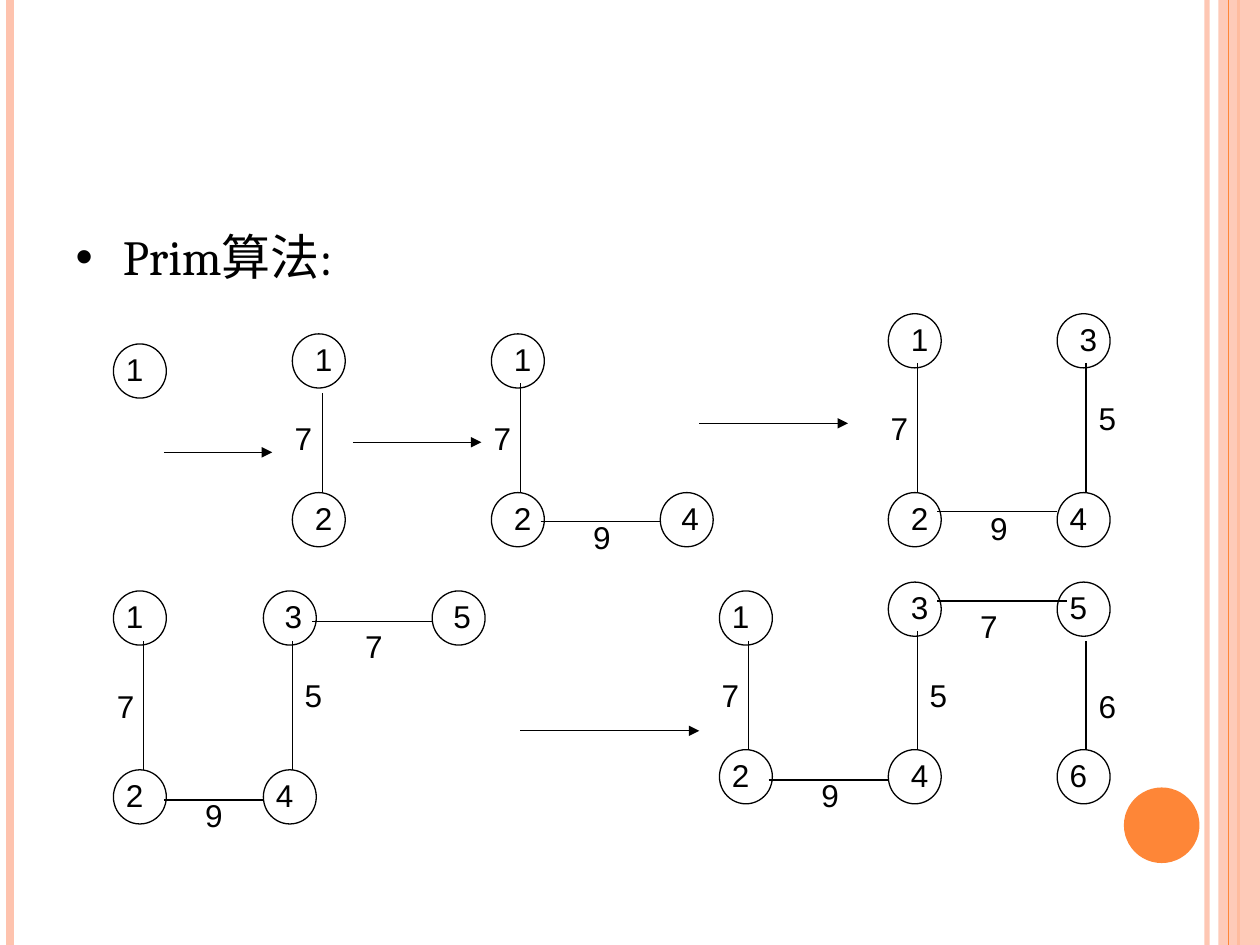
from lxml.etree import SubElement
from pptx import Presentation
from pptx.dml.color import RGBColor
from pptx.enum.shapes import MSO_CONNECTOR, MSO_SHAPE
from pptx.enum.text import MSO_ANCHOR, MSO_AUTO_SIZE, PP_ALIGN
from pptx.oxml.ns import qn
from pptx.util import Pt

PX = 9144
BLACK = RGBColor(0x00, 0x00, 0x00)
PEACH = RGBColor(0xFE, 0xC3, 0xAE)
ORANGE = RGBColor(0xFE, 0x86, 0x37)

HEAD = {"size": Pt(28), "name": "Cambria"}
DIGIT = {"size": Pt(18), "name": "Arial"}
LABEL = {"word_wrap": True, "auto_size": MSO_AUTO_SIZE.SHAPE_TO_FIT_TEXT,
         "vertical_anchor": MSO_ANCHOR.TOP}
BODY = {"word_wrap": True, "auto_size": MSO_AUTO_SIZE.NONE,
        "vertical_anchor": MSO_ANCHOR.TOP}
PLAIN = {"space_before": Pt(0), "alignment": PP_ALIGN.LEFT}

# Nodes: digit, x, y, digit shift, digit width. Edges: x1, y1, x2, y2.
# Weights: digit, x, y, width.
STEPS = [
    ((90, 273), [("1", 0, 0, 0, 47)], [], []),
    ((232, 265),
     [("1", 0, 0, 8, 32), ("2", 0, 126, 8, 32)],
     [(24, 47, 24, 126)],
     [("7", -8, 63, 32)]),
    ((390, 265),
     [("1", 0, 0, 8, 32), ("2", 0, 126, 8, 32), ("4", 134, 126, 7, 32)],
     [(23, 39, 23, 126), (39, 149, 134, 149)],
     [("7", -8, 63, 31), ("9", 71, 141, 47)]),
    ((705, 249),
     [("1", 0, 0, 8, 31), ("2", 0, 142, 8, 31), ("4", 134, 142, 0, 47),
      ("3", 134, 0, 8, 31)],
     [(23, 39, 23, 142), (39, 157, 134, 157), (157, 39, 157, 142)],
     [("7", -8, 71, 55), ("9", 71, 150, 55), ("5", 157, 63, 31)]),
    ((90, 469),
     [("1", 0, 0, 0, 31), ("2", 0, 142, 0, 24), ("3", 119, 0, 7, 32),
      ("4", 119, 142, 0, 31), ("5", 253, 0, 7, 24)],
     [(24, 40, 24, 142), (40, 166, 119, 166), (142, 40, 142, 142),
      (158, 24, 253, 24)],
     [("7", -7, 71, 39), ("9", 63, 158, 55), ("5", 142, 63, 31),
      ("7", 190, 24, 39)]),
    ((571, 462),
     [("1", 0, 7, 0, 39), ("2", 0, 133, 0, 63), ("3", 134, 0, 8, 55),
      ("4", 134, 133, 8, 31), ("6", 268, 133, 0, 55), ("5", 268, 0, 0, 47)],
     [(23, 47, 23, 133), (157, 39, 157, 133), (39, 157, 134, 157),
      (173, 15, 276, 15), (291, 47, 291, 133)],
     [("7", -8, 70, 47), ("9", 71, 149, 47), ("5", 157, 70, 39),
      ("7", 197, 15, 47), ("6", 291, 78, 39)]),
]
ARROWS = [(130, 359, 216), (280, 351, 382), (555, 336, 673), (413, 580, 555)]


def emu(*sizes):
    return [size * PX for size in sizes]


def style(thing, values):
    for name, value in values.items():
        setattr(thing, name, value)


def fade(shape, part):
    for color in shape._element.spPr.iter(qn("a:srgbClr")):
        SubElement(color, qn("a:alpha"), val=str(part * 1000))


def add_line(slide, ends, color=BLACK, width=0.75):
    line = slide.shapes.add_connector(MSO_CONNECTOR.STRAIGHT, *emu(*ends))
    line.line.color.rgb = color
    line.line.width = Pt(width)
    SubElement(line._element.spPr, qn("a:effectLst"))
    return line


def add_solid(slide, kind, box, color):
    shape = slide.shapes.add_shape(kind, *emu(*box))
    shape.shadow.inherit = False
    shape.fill.solid()
    shape.fill.fore_color.rgb = color
    shape.line.fill.background()
    return shape


def add_ring(slide, box):
    ring = slide.shapes.add_shape(MSO_SHAPE.OVAL, *emu(*box))
    ring.shadow.inherit = False
    ring.fill.background()
    ring.line.color.rgb = BLACK
    ring.line.width = Pt(0.75)


def write(frame, text, values, font):
    style(frame, values)
    frame.text = text
    line = frame.paragraphs[0]
    style(line, PLAIN)
    style(line.runs[0].font, font)
    line.runs[0].font.color.rgb = BLACK


def add_digit(slide, text, x, y, width):
    box = slide.shapes.add_textbox(*emu(x, y, width, 40))
    write(box.text_frame, text, LABEL, DIGIT)


def draw_frame(slide, width, height):
    fade(add_line(slide, (width - 42, 0, width - 42, height), PEACH, 3), 93)
    add_line(slide, (8, 0, 8, height), PEACH, 4.5)
    add_line(slide, (width - 17, 0, width - 17, height), ORANGE, 1.5)
    band = (width - 33, 0, 33, height)
    fade(add_solid(slide, MSO_SHAPE.RECTANGLE, band, PEACH), 87)
    add_line(slide, (width - 25, 0, width - 25, height), ORANGE)
    dot = (width - 108, height - 125, 60, 60)
    add_solid(slide, MSO_SHAPE.OVAL, dot, ORANGE)


def draw_body(body, box):
    style(body, dict(zip(("left", "top", "width", "height"), emu(*box))))
    frame = body.text_frame
    props = frame.paragraphs[0]._p.get_or_add_pPr()
    style_attrs = {"marL": 30 * PX, "indent": -30 * PX}
    for name, value in style_attrs.items():
        props.set(name, str(value))
    SubElement(props, qn("a:buNone"))
    write(frame, "Prim算法:", BODY, HEAD)


def draw_graph(slide, spot, nodes, edges, weights):
    left, top = spot
    for text, x, y, shift, width in nodes:
        add_ring(slide, (left + x, top + y, 42, 43))
        add_digit(slide, text, left + x + shift, top + y, width)
    for x1, y1, x2, y2 in edges:
        add_line(slide, (left + x1, top + y1, left + x2, top + y2))
    for text, x, y, width in weights:
        add_digit(slide, text, left + x, top + y, width)


def draw_arrow(slide, start, y, end):
    arrow = add_line(slide, (start, y, end, y))
    stroke = arrow._element.spPr.find(qn("a:ln"))
    SubElement(stroke, qn("a:tailEnd"), type="triangle")


def main():
    deck = Presentation()
    deck.slide_width, deck.slide_height = emu(1000, 750)
    slide = deck.slides.add_slide(deck.slide_layouts[1])
    title = slide.shapes.title._element
    title.getparent().remove(title)
    draw_frame(slide, 1000, 750)
    draw_body(slide.placeholders[1], (50, 175, 817, 533))
    for step in STEPS:
        draw_graph(slide, *step)
    for arrow in ARROWS:
        draw_arrow(slide, *arrow)
    deck.save("out.pptx")


if __name__ == "__main__":
    main()
